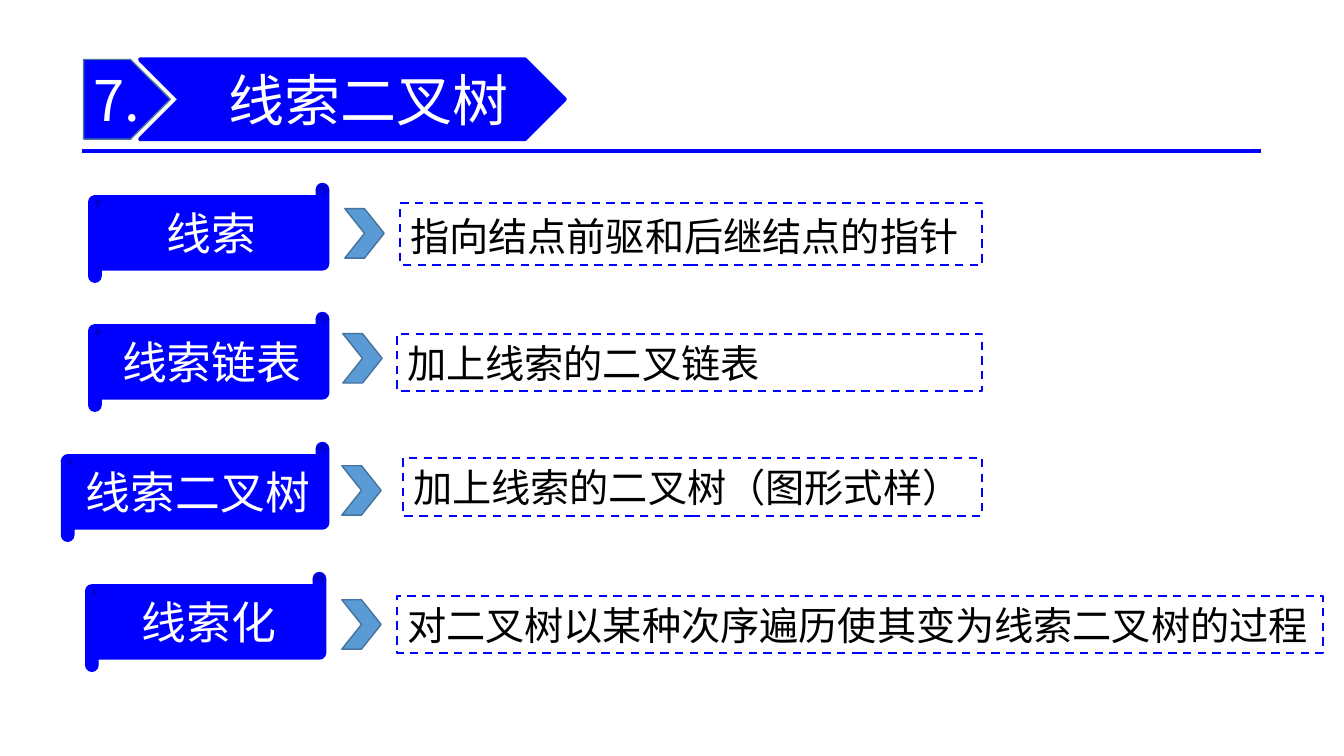
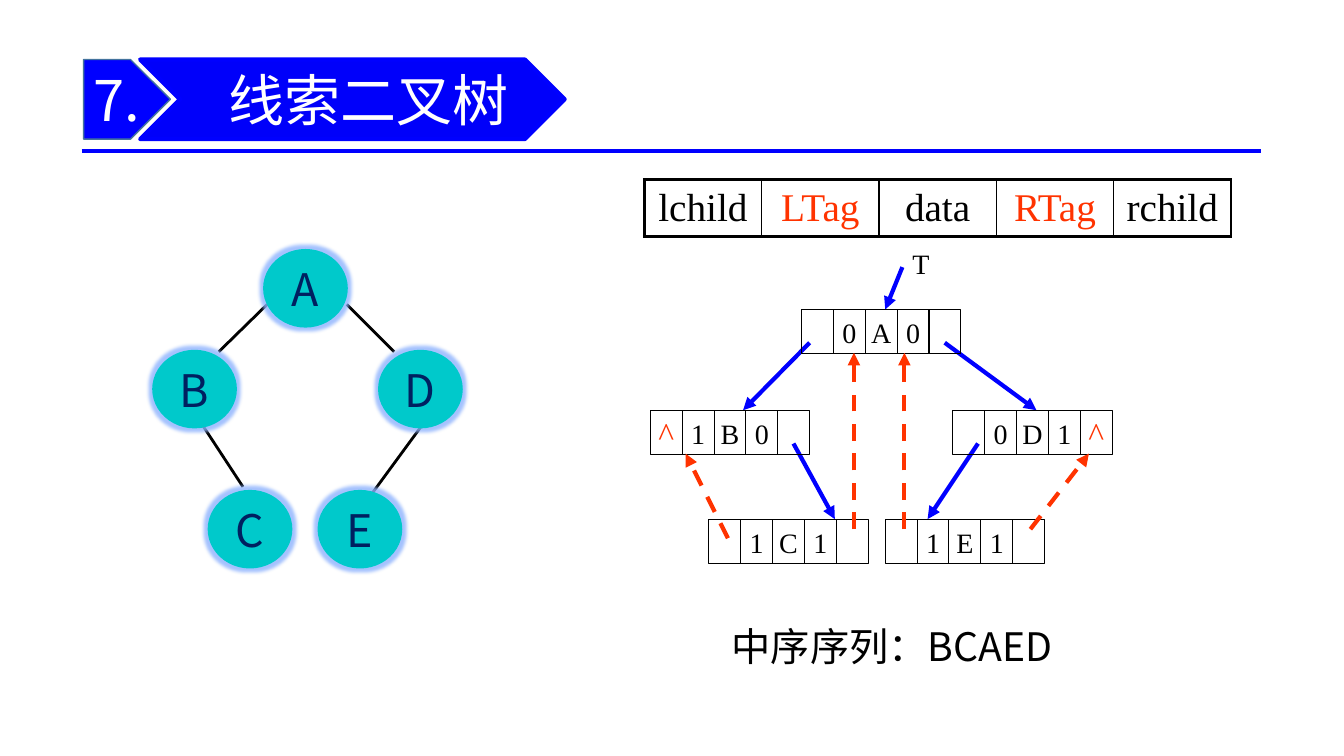
from lxml.etree import SubElement
from pptx import Presentation
from pptx.dml.color import RGBColor
from pptx.enum.dml import MSO_LINE as Dash
from pptx.enum.shapes import MSO_CONNECTOR as Link, MSO_SHAPE as Form
from pptx.enum.text import MSO_ANCHOR as Anchor, PP_ALIGN as Align
from pptx.oxml.ns import qn
from pptx.util import Inches, Pt

SANS = "Noto Sans CJK SC"
SERIF = "Times New Roman"
BLUE, BLACK, WHITE, RED = "0000FF", "000000", "FFFFFF", "FF3300"
SKY, STEEL, TEAL, NAVY, HALO = "5B9BD5", "43739E", "00C9CB", "002060", "8FB4FF"

TERMS = [
    ("线索", (0.88, 1.82, 2.38), (3.42, 2.07), "指向结点前驱和后继结点的指针",
     (3.97, 2.01, 5.77, 0.62), 1.1),
    ("线索链表", (0.88, 3.1, 2.38), (3.4, 3.31), "加上线索的二叉链表",
     (3.94, 3.31, 5.8, 0.57), 1),
    ("线索二叉树", (0.61, 4.39, 2.65), (3.39, 4.62), "加上线索的二叉树（图形式样）",
     (4, 4.54, 5.74, 0.58), 1),
    ("线索化", (0.85, 5.68, 2.38), (3.39, 5.95), "对二叉树以某种次序遍历使其变为线索二叉树的过程",
     (3.94, 5.91, 9.18, 0.57), 1),
]
FIELDS = ["lchild", "LTag", "data", "RTag", "rchild"]
EDGES = [
    ((2.65, 3.02), (2.17, 3.49)),
    ((3.44, 3.02), (3.91, 3.49)),
    ((2.01, 4.22), (2.41, 4.83)),
    ((4.2, 4.2), (3.65, 4.95)),
]
BALLS = [("A", 2.61, 2.47), ("B", 1.51, 3.47), ("D", 3.75, 3.47),
         ("E", 3.15, 4.86), ("C", 2.06, 4.86)]
CHILDREN = [
    ((8.03, 3.4), (7.37, 4.07)),
    ((9.37, 3.4), (10.28, 4.07)),
    ((7.87, 4.4), (8.28, 5.15)),
    ((9.7, 4.4), (9.2, 5.15)),
    ((8.95, 2.65), (8.78, 3.07)),
]
THREADS = [
    ((7.22, 5.34), (6.8, 4.5)),
    ((8.47, 5.25), (8.47, 3.5)),
    ((8.97, 5.25), (8.97, 3.5)),
    ((10.22, 5.25), (10.8, 4.5)),
]
NODES = [
    (7.95, 3.07, ["", "0", "A", "0", ""]),
    (6.45, 4.07, ["^", "1", "B", "0", ""]),
    (9.45, 4.07, ["", "0", "D", "1", "^"]),
    (7.03, 5.15, ["", "1", "C", "1", ""]),
    (8.78, 5.15, ["", "1", "E", "1", ""]),
]
NODE_W, NODE_H = 1.58, 0.44


def rgb(code):
    return RGBColor.from_string(code)


def style(para, size, color, face, align):
    para.alignment = align
    font = para.font
    font.size = Pt(size)
    font.name = face
    font.color.rgb = rgb(color)


def write(shape, text, size, color, face=SANS, align=Align.CENTER,
          left=0.1, right=0.1, wrap=True, space=None):
    frame = shape.text_frame
    frame.word_wrap = wrap
    frame.vertical_anchor = Anchor.MIDDLE
    frame.margin_left, frame.margin_right = Inches(left), Inches(right)
    para = frame.paragraphs[0]
    para.text = text
    style(para, size, color, face, align)
    if space:
        para.line_spacing = space
    for latin in list(shape.element.iter(qn("a:latin"))):
        east = SubElement(latin.getparent(), qn("a:ea"), typeface=face)
        latin.addnext(east)


def draw(slide, form, box, fill=None, line=None, width=1, dash=None):
    shape = slide.shapes.add_shape(form, *map(Inches, box))
    shape.shadow.inherit = False
    if fill:
        shape.fill.solid()
        shape.fill.fore_color.rgb = rgb(fill)
    else:
        shape.fill.background()
    if line:
        shape.line.color.rgb = rgb(line)
        shape.line.width = Pt(width)
        shape.line.dash_style = dash
    else:
        shape.line.fill.background()
    return shape


def label(slide, box, text, size, color=BLACK, **kind):
    shape = slide.shapes.add_textbox(*map(Inches, box))
    write(shape, text, size, color, **kind)


def join(slide, start, end, color, width, dash=None, arrow=False):
    line = slide.shapes.add_connector(Link.STRAIGHT, *map(Inches, start + end))
    line.line.color.rgb = rgb(color)
    line.line.width = Pt(width)
    line.line.dash_style = dash
    props = line.element.find(qn("p:spPr"))
    if arrow:
        SubElement(props.find(qn("a:ln")), qn("a:tailEnd"), type="triangle")
    SubElement(props, qn("a:effectLst"))
    return line


def glow(shape, color, size):
    effect = next(shape.element.iter(qn("a:effectLst")))
    halo = SubElement(effect, qn("a:glow"), rad=str(Pt(size)))
    tint = SubElement(halo, qn("a:srgbClr"), val=color)
    SubElement(tint, qn("a:alpha"), val="80000")


def header(slide):
    tab = draw(slide, Form.PENTAGON, (0.83, 0.59, 0.86, 0.79), BLUE, STEEL)
    write(tab, "7.", 40, WHITE, align=Align.LEFT, right=0)
    band = draw(slide, Form.CHEVRON, (1.39, 0.59, 4.21, 0.79), "0000FA", BLUE, 3)
    write(band, "线索二叉树", 40, WHITE, left=0.32, right=0)


def term(slide, name, scroll, mark, text, box, space):
    card = draw(slide, Form.HORIZONTAL_SCROLL, scroll + (0.98,), BLUE, BLUE)
    write(card, name, 32, WHITE)
    note = draw(slide, Form.RECTANGLE, box, WHITE, BLUE, 1.5, Dash.DASH)
    write(note, text, 28, BLACK, align=Align.LEFT, right=0, space=space)
    draw(slide, Form.CHEVRON, mark + (0.39, 0.49), SKY, STEEL)


def border(props, side, width):
    line = SubElement(props, qn("a:ln" + side), w=str(Pt(width)))
    fill = SubElement(line, qn("a:solidFill"))
    SubElement(fill, qn("a:srgbClr"), val=BLACK)


def fields(slide):
    frame = slide.shapes.add_table(
        1, len(FIELDS), Inches(6.39), Inches(1.78), Inches(5.82), Inches(0.57))
    table = frame.table
    table.first_row = table.horz_banding = False
    last = len(FIELDS) - 1
    for cell, text in zip(table.iter_cells(), FIELDS):
        cell.vertical_anchor = Anchor.MIDDLE
        cell.margin_left = cell.margin_right = Inches(0.05)
        cell.text = text
        color = RED if "Tag" in text else BLACK
        style(cell.text_frame.paragraphs[0], 28, color, SERIF, Align.CENTER)
    for i, props in enumerate(frame.element.iter(qn("a:tcPr"))):
        border(props, "L", 2.25 if i == 0 else 1)
        border(props, "R", 2.25 if i == last else 1)
        border(props, "T", 2.25)
        border(props, "B", 2.25)
    for cell in table.iter_cells():
        cell.fill.background()


def tree(slide):
    for start, end in EDGES:
        join(slide, start, end, BLACK, 2)
    for name, left, top in BALLS:
        ball = draw(slide, Form.OVAL, (left, top, 0.84, 0.78), TEAL)
        glow(ball, HALO, 5)
        write(ball, name, 32, NAVY, left=0, right=0)


def node(slide, left, top, cells):
    draw(slide, Form.RECTANGLE, (left, top, NODE_W, NODE_H), None, BLACK, 0.75)
    step = NODE_W / len(cells)
    for i, text in enumerate(cells):
        x = left + i * step
        if i:
            join(slide, (x, top), (x, top + NODE_H), BLACK, 0.75)
        if text:
            size, color = (24, RED) if text == "^" else (20, BLACK)
            label(slide, (x, top + 0.01, step, NODE_H), text, size, color,
                  face=SERIF, left=0, right=0, wrap=False)


def links(slide):
    for start, end in CHILDREN:
        join(slide, start, end, BLUE, 3, arrow=True)
    for spot in NODES:
        node(slide, *spot)
    for start, end in THREADS:
        join(slide, start, end, RED, 3, Dash.DASH, True)
    label(slide, (8.95, 2.4, 0.37, 0.43), "T", 20, face=SERIF, wrap=False)
    label(slide, (7.16, 6.12, 3.85, 0.57), "中序序列：BCAED", 28, align=Align.LEFT)


def main():
    deck = Presentation()
    deck.slide_width, deck.slide_height = Inches(13.33), Inches(7.5)
    blank = deck.slide_layouts[6]
    first, second = [deck.slides.add_slide(blank) for _ in range(2)]
    rule = join(first, (0.81, 1.5), (12.51, 1.5), BLUE, 3)
    blank.shapes.element.append(rule.element)

    header(first)
    for row in TERMS:
        term(first, *row)

    header(second)
    fields(second)
    tree(second)
    links(second)
    deck.save("out.pptx")


if __name__ == "__main__":
    main()
